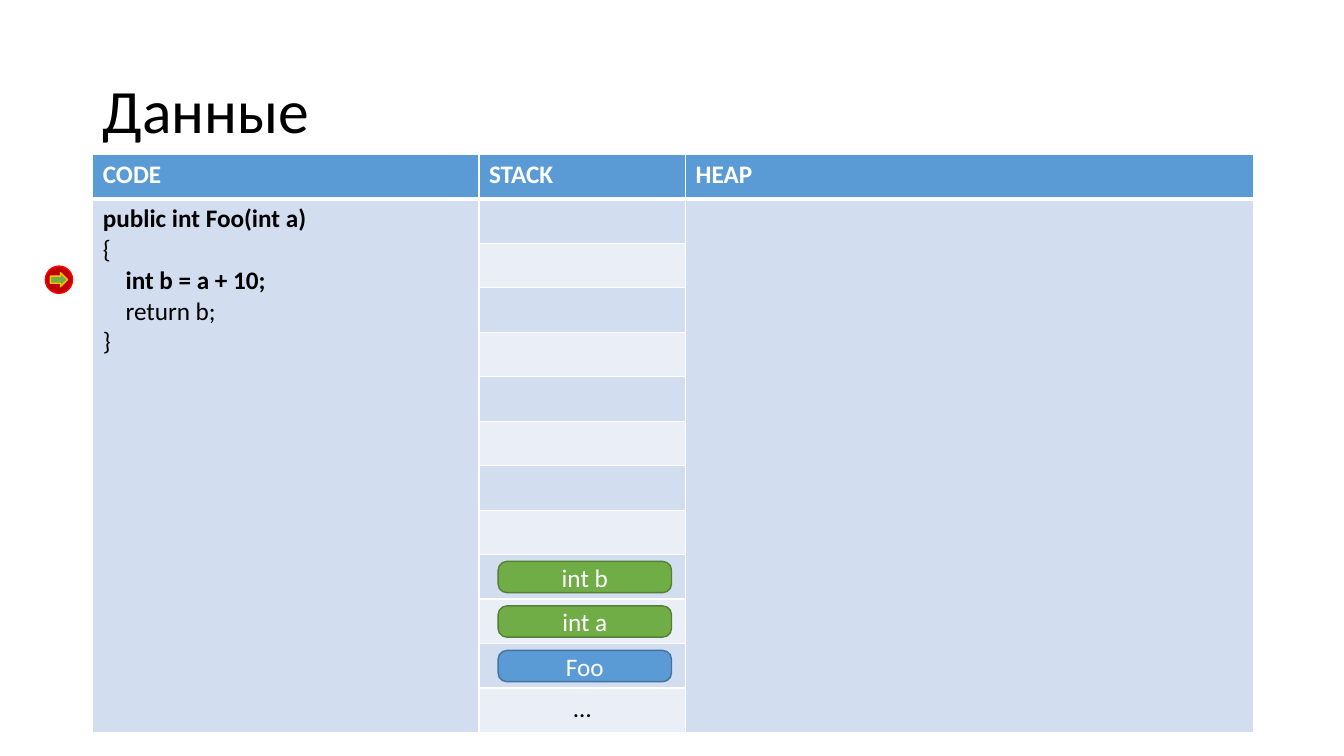
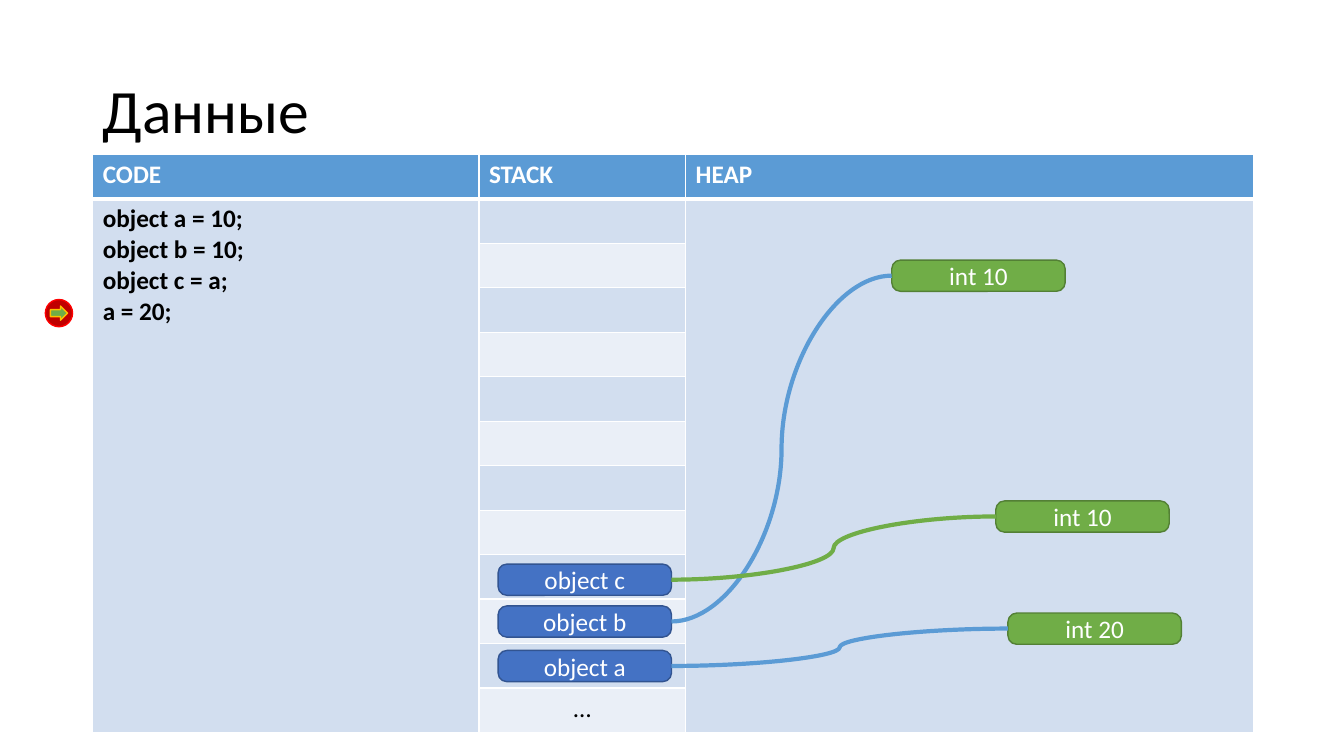
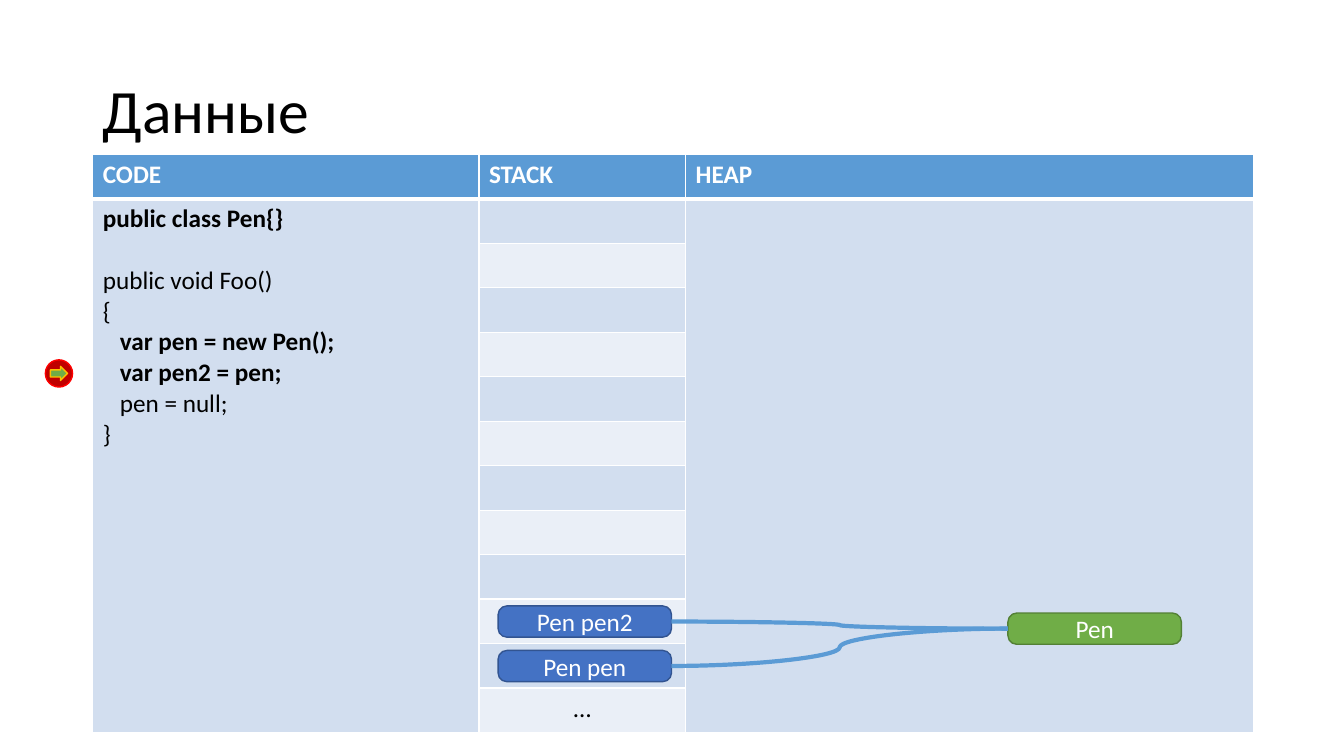
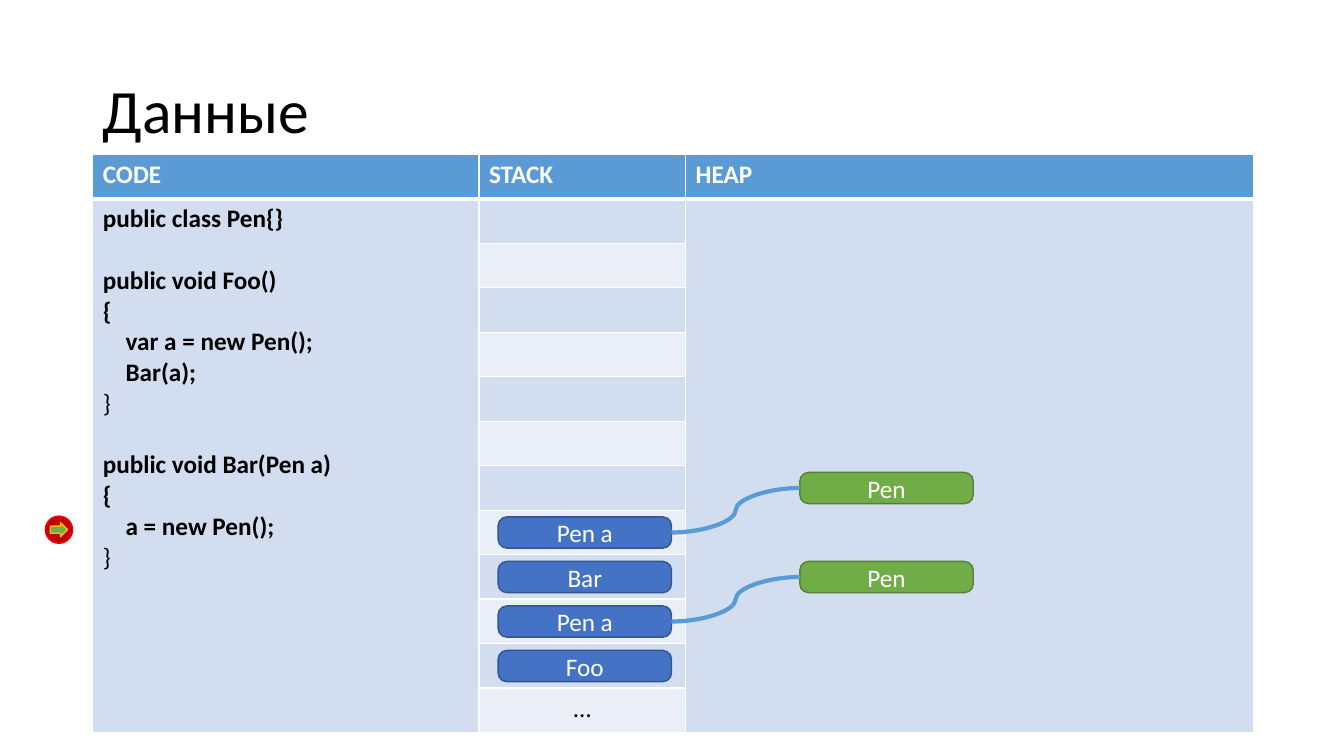
"""Build four slides that show code, stack and heap side by side."""
from typing import NamedTuple

from lxml import etree
from pptx import Presentation
from pptx.dml.color import RGBColor
from pptx.enum.shapes import MSO_CONNECTOR, MSO_SHAPE
from pptx.enum.text import MSO_ANCHOR, PP_ALIGN
from pptx.oxml.ns import qn
from pptx.util import Inches, Pt

CURVE = MSO_CONNECTOR.CURVE
ROUND, OVAL, ARROW = MSO_SHAPE.ROUNDED_RECTANGLE, MSO_SHAPE.OVAL, MSO_SHAPE.RIGHT_ARROW
MIDDLE = MSO_ANCHOR.MIDDLE
LEFT, CENTER = PP_ALIGN.LEFT, PP_ALIGN.CENTER

COLORS = {
    "black": "000000", "white": "FFFFFF", "sky": "5B9BD5", "steel": "43739E",
    "blue": "4472C4", "navy": "325491", "green": "70AD47", "moss": "538035",
    "red": "C00000", "bright": "FF0000", "gold": "FFC000",
    "odd": "D2DEEF", "even": "EAEFF7",
}
EDGES = {"sky": "steel", "blue": "navy", "green": "moss", "red": "bright"}
FONT = "Calibri"
WIDE, HIGH = 13.33, 7.5
SIDE, TOP = 0.92, 1.53
COLS = (3.83, 2.05, 5.63)
ROWS = 13
ROW = 5.74 / ROWS
STACK, PILL_W, PILL_H = 4.94, 1.72, 0.31
LINE_TOP, LINE = 2.02, 0.31
DOT, TIP_W, TIP_H = 0.27, 0.17, 0.14


class Line(NamedTuple):
    """A line of text, with a gap of one line before it if wanted."""
    text: str
    bold: bool = True
    gap: bool = False


class Pill(NamedTuple):
    """A value; col counts pill widths from the stack, row counts table rows."""
    text: str
    row: float
    col: float = 0
    fill: str = "blue"


class Link(NamedTuple):
    """A curve between two pills, given by their places in the list."""
    start: int
    end: int
    color: str = "sky"


class Scene(NamedTuple):
    """All that changes from slide to slide; mark is the current code line."""
    code: list[Line]
    mark: float
    pills: list[Pill]
    links: list[Link]


SCENES = [
    Scene(
        [Line("public int Foo(int a)"), Line("{", False),
         Line("    int b = a + 10;"), Line("    return b;", False), Line("}", False)],
        2,
        [Pill("Foo", 11, fill="sky"), Pill("int a", 10, fill="green"),
         Pill("int b", 9, fill="green")],
        []),
    Scene(
        [Line("object a = 10;"), Line("object b = 10;"),
         Line("object c = a;"), Line("a = 20;")],
        3.07,
        [Pill("object a", 11), Pill("object b", 10), Pill("object c", 9.06),
         Pill("int 10", 7.64, 2.87, "green"), Pill("int 10", 2.23, 2.27, "green"),
         Pill("int 20", 10.16, 2.94, "green")],
        [Link(1, 4), Link(0, 5), Link(2, 3, "green")]),
    Scene(
        [Line("public class Pen{}"), Line("public void Foo()", False, True),
         Line("{", False), Line("   var pen = new Pen();"), Line("   var pen2 = pen;"),
         Line("   pen = null;", False), Line("}", False)],
        5,
        [Pill("Pen pen", 11), Pill("Pen pen2", 10), Pill("Pen", 10.16, 2.94, "green")],
        [Link(0, 2), Link(1, 2)]),
    Scene(
        [Line("public class Pen{}"), Line("public void Foo()", gap=True), Line("{"),
         Line("    var a = new Pen();"), Line("    Bar(a);"), Line("}", False),
         Line("public void Bar(Pen a)", gap=True), Line("{"),
         Line("    a = new Pen();"), Line("}", False)],
        10,
        [Pill("Foo", 11), Pill("Pen a", 10), Pill("Bar", 9), Pill("Pen a", 8),
         Pill("Pen", 9, 1.74, "green"), Pill("Pen", 7, 1.74, "green")],
        [Link(1, 4), Link(3, 5)]),
]


def tint(name: str) -> RGBColor:
    """Look up a colour by name."""
    return RGBColor.from_string(COLORS[name])


def write(frame, lines: list[Line], *, size: float = 18, color: str = "black",
          align=LEFT, space: float = 1.0) -> None:
    """Fill a text frame with lines in one format."""
    for spot, line in enumerate(lines):
        para = frame.paragraphs[0] if spot == 0 else frame.add_paragraph()
        para.alignment, para.line_spacing = align, space
        if line.gap:
            para.space_before = Pt(22)
        run = para.add_run()
        run.text = line.text
        font = run.font
        font.name, font.size, font.bold = FONT, Pt(size), line.bold
        font.color.rgb = tint(color)


def shape(shapes, kind, box: tuple[float, ...], fill: str, edge: str):
    """Add a flat preset shape at left, top, width, height in inches."""
    item = shapes.add_shape(kind, *map(Inches, box))
    item.shadow.inherit = False
    item.fill.solid()
    item.fill.fore_color.rgb = tint(fill)
    item.line.color.rgb = tint(edge)
    item.line.width = Pt(1)
    return item


def title(slide, text: str) -> None:
    """Add the slide title."""
    box = slide.shapes.add_textbox(*map(Inches, (SIDE, 0.4, 11.5, 1.45)))
    frame = box.text_frame
    frame.word_wrap, frame.vertical_anchor = True, MIDDLE
    write(frame, [Line(text, False)], size=44, space=0.9)


def dress(cell, fill: str, above: float, below: float) -> None:
    """Give a cell white borders and a solid fill."""
    props = cell._tc.get_or_add_tcPr()
    for side, width in (("L", 1), ("R", 1), ("T", above), ("B", below)):
        line = etree.SubElement(props, qn(f"a:ln{side}"), w=str(Pt(width)))
        solid = etree.SubElement(line, qn("a:solidFill"))
        etree.SubElement(solid, qn("a:srgbClr"), val=COLORS["white"])
    cell.fill.solid()
    cell.fill.fore_color.rgb = tint(fill)


def grid(slide, code: list[Line]) -> None:
    """Add the table of code, stack and heap."""
    box = (SIDE, TOP, sum(COLS), ROW * ROWS)
    table = slide.shapes.add_table(ROWS, len(COLS), *map(Inches, box)).table
    for col, width in zip(table.columns, COLS):
        col.width = Inches(width)
    for row in range(ROWS):
        table.rows[row].height = Inches(ROW)
        for col in range(len(COLS)):
            fill = "sky" if row == 0 else "odd" if row % 2 or col != 1 else "even"
            dress(table.cell(row, col), fill,
                  3 if row == 1 else 1, 3 if row == 0 else 1)
    for col in (0, 2):
        table.cell(1, col).merge(table.cell(ROWS - 1, col))
    for col, head in enumerate(("CODE", "STACK", "HEAP")):
        write(table.cell(0, col).text_frame, [Line(head)], color="white")
    write(table.cell(1, 0).text_frame, code)
    write(table.cell(ROWS - 1, 1).text_frame, [Line("…", False)], align=CENTER)


def badge(slide, pill: Pill):
    """Add a rounded value box, centred in its table row."""
    box = (STACK + pill.col * PILL_W, TOP + pill.row * ROW + (ROW - PILL_H) / 2,
           PILL_W, PILL_H)
    item = shape(slide.shapes, ROUND, box, pill.fill, EDGES[pill.fill])
    item.adjustments[0] = 0.28
    frame = item.text_frame
    frame.word_wrap, frame.vertical_anchor = True, MIDDLE
    write(frame, [Line(pill.text, False)], color="white", align=CENTER)
    return item


def join(slide, start, end, color: str) -> None:
    """Draw a curve from the right of one box to the left of another."""
    curve = slide.shapes.add_connector(CURVE, 0, 0, 0, 0)
    curve.begin_connect(start, 3)
    curve.end_connect(end, 1)
    curve.line.color.rgb = tint(color)
    curve.line.width = Pt(3)
    etree.SubElement(curve._element.spPr, qn("a:effectLst"))


def marker(slide, line: float) -> None:
    """Add the break point beside a line of code."""
    shapes = slide.shapes.add_group_shape().shapes
    left, top = 0.45, LINE_TOP + line * LINE
    shape(shapes, OVAL, (left, top, DOT, DOT), "red", EDGES["red"])
    box = (left + (DOT - TIP_W) / 2, top + (DOT - TIP_H) / 2, TIP_W, TIP_H)
    shape(shapes, ARROW, box, "green", "gold")


def main() -> None:
    """Build and save the slides."""
    deck = Presentation()
    deck.slide_width, deck.slide_height = Inches(WIDE), Inches(HIGH)
    for scene in SCENES:
        slide = deck.slides.add_slide(deck.slide_layouts[6])
        title(slide, "Данные")
        grid(slide, scene.code)
        boxes = [badge(slide, pill) for pill in scene.pills]
        for link in scene.links:
            join(slide, boxes[link.start], boxes[link.end], link.color)
        marker(slide, scene.mark)
    deck.save("out.pptx")


if __name__ == "__main__":
    main()
